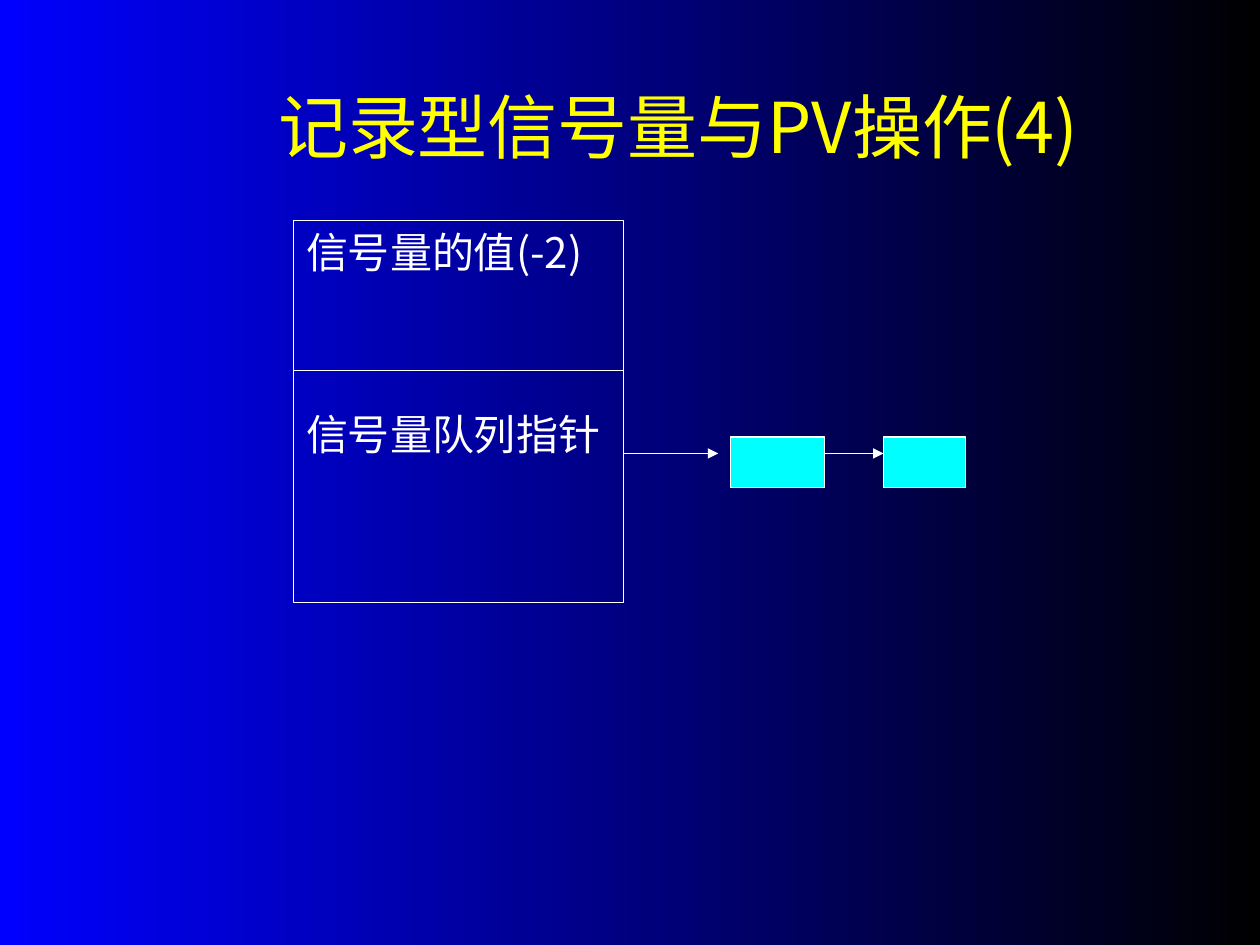
from dataclasses import dataclass

from lxml import etree
from pptx import Presentation
from pptx.dml.color import RGBColor
from pptx.enum.shapes import MSO_CONNECTOR, MSO_SHAPE
from pptx.enum.text import MSO_ANCHOR, PP_ALIGN
from pptx.oxml.ns import qn
from pptx.util import Cm, Pt

RECTANGLE = MSO_SHAPE.RECTANGLE
STRAIGHT = MSO_CONNECTOR.STRAIGHT
MIDDLE, TOP = MSO_ANCHOR.MIDDLE, MSO_ANCHOR.TOP
CENTER, JUSTIFY = PP_ALIGN.CENTER, PP_ALIGN.JUSTIFY

FONT = "Noto Sans CJK SC"
WHITE, YELLOW, CYAN = "FFFFFF", "FFFF00", "00FFFF"
BLACK, BLUE = "000000", "0000FF"
LINE_WIDTH = Pt(0.75)


@dataclass
class Box:
    left: float
    top: float
    width: float
    height: float
    fill: str | None = None

    @property
    def right(self) -> float:
        return self.left + self.width


@dataclass
class Line:
    start: float
    end: float
    y: float
    arrow: bool = False


def color(value: str) -> RGBColor:
    return RGBColor.from_string(value)


def draw_box(slide, box: Box):
    shape = slide.shapes.add_shape(
        RECTANGLE, Cm(box.left), Cm(box.top), Cm(box.width), Cm(box.height))
    shape.shadow.inherit = False
    if box.fill:
        shape.fill.solid()
        shape.fill.fore_color.rgb = color(box.fill)
    else:
        shape.fill.background()
    shape.line.color.rgb = color(WHITE)
    shape.line.width = LINE_WIDTH
    return shape


def draw_line(slide, line: Line) -> None:
    connector = slide.shapes.add_connector(
        STRAIGHT, Cm(line.start), Cm(line.y), Cm(line.end), Cm(line.y))
    connector.line.color.rgb = color(WHITE)
    connector.line.width = LINE_WIDTH
    properties = connector._element.spPr
    if line.arrow:
        etree.SubElement(properties.find(qn("a:ln")), qn("a:tailEnd"), type="triangle")
    etree.SubElement(properties, qn("a:effectLst"))


def style_paragraph(paragraph, size: float, value: str, alignment) -> None:
    paragraph.alignment = alignment
    font = paragraph.font
    font.size = Pt(size)
    font.name = FONT
    font.color.rgb = color(value)
    latin = font._element.find(qn("a:latin"))
    east_asian = etree.Element(qn("a:ea"), typeface=FONT)
    latin.addnext(east_asian)


def main() -> None:
    presentation = Presentation()
    presentation.slide_width, presentation.slide_height = Cm(25.4), Cm(19.05)
    slide = presentation.slides.add_slide(presentation.slide_layouts[6])

    # Background: black on the right to blue on the left
    background = slide.background.fill
    background.gradient()
    background.gradient_angle = 180
    for stop, value in zip(background.gradient_stops, (BLACK, BLUE)):
        stop.color.rgb = color(value)
    background.gradient_stops[0].position = 0
    background.gradient_stops[1].position = 1

    # Title, with its closing line break
    title = slide.shapes.add_textbox(Cm(2.34), Cm(1.9), Cm(22.66), Cm(2.97))
    title.text_frame.word_wrap = True
    title.text_frame.vertical_anchor = MIDDLE
    title.text_frame.text = "记录型信号量与PV操作(4)\v"
    style_paragraph(title.text_frame.paragraphs[0], 40, YELLOW, CENTER)

    # Semaphore record: value above, queue pointer below
    record = Box(5.92, 4.45, 6.65, 7.7)
    frame = draw_box(slide, record).text_frame
    frame.word_wrap = True
    frame.vertical_anchor = TOP
    frame.text = "信号量的值(-2)\n信号量队列指针"
    for paragraph in frame.paragraphs:
        style_paragraph(paragraph, 24, WHITE, JUSTIFY)
    frame.paragraphs[1].space_before = Pt(75)
    draw_line(slide, Line(record.left, record.right, 7.47))

    # Queue of waiting processes
    first = Box(14.73, 8.81, 1.9, 1.02, CYAN)
    second = Box(17.81, 8.81, 1.65, 1.02, CYAN)
    for box in (first, second):
        draw_box(slide, box)
    for start, end in ((record.right, 14.48), (first.right, second.left)):
        draw_line(slide, Line(start, end, 9.14, arrow=True))

    presentation.save("out.pptx")


if __name__ == "__main__":
    main()
